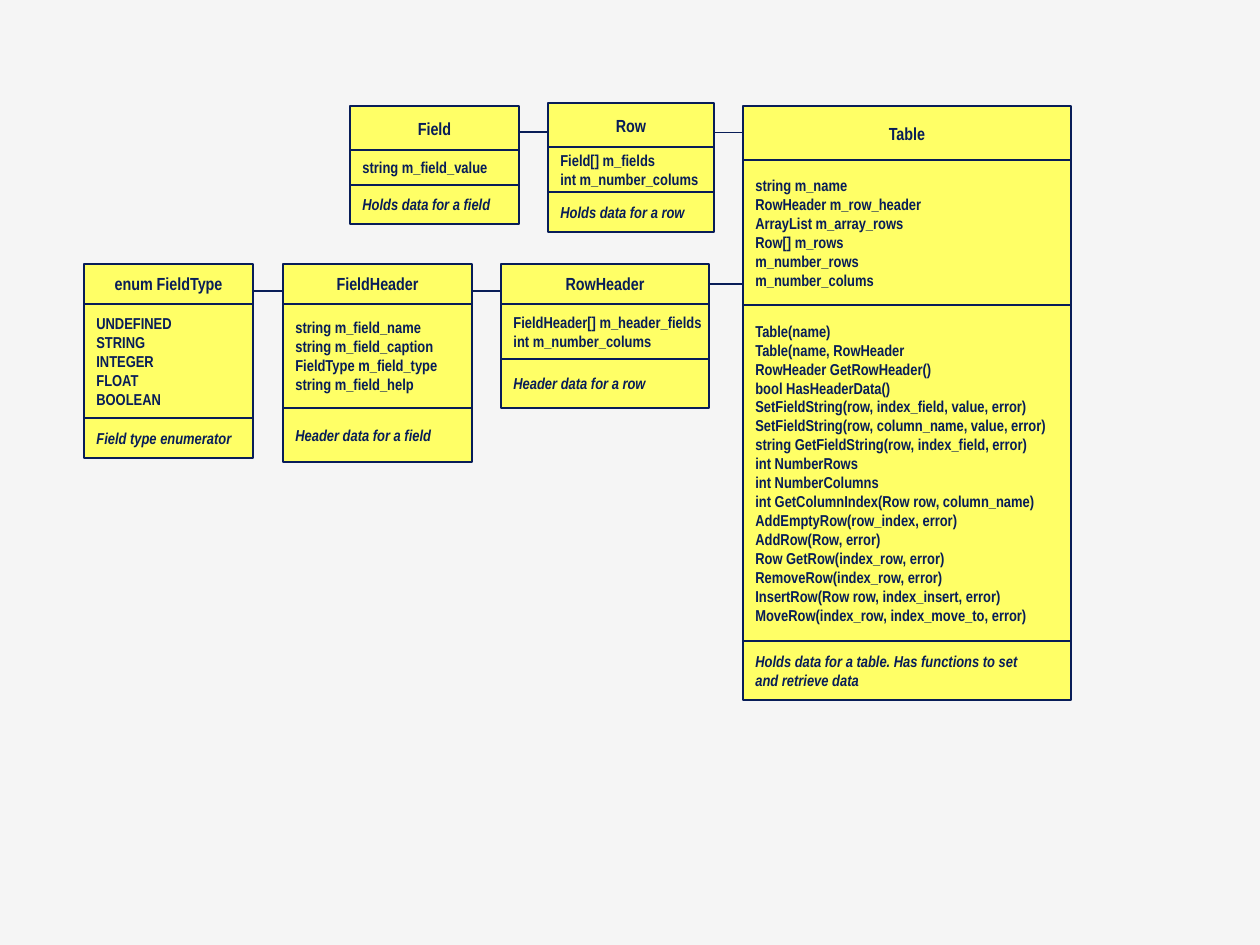
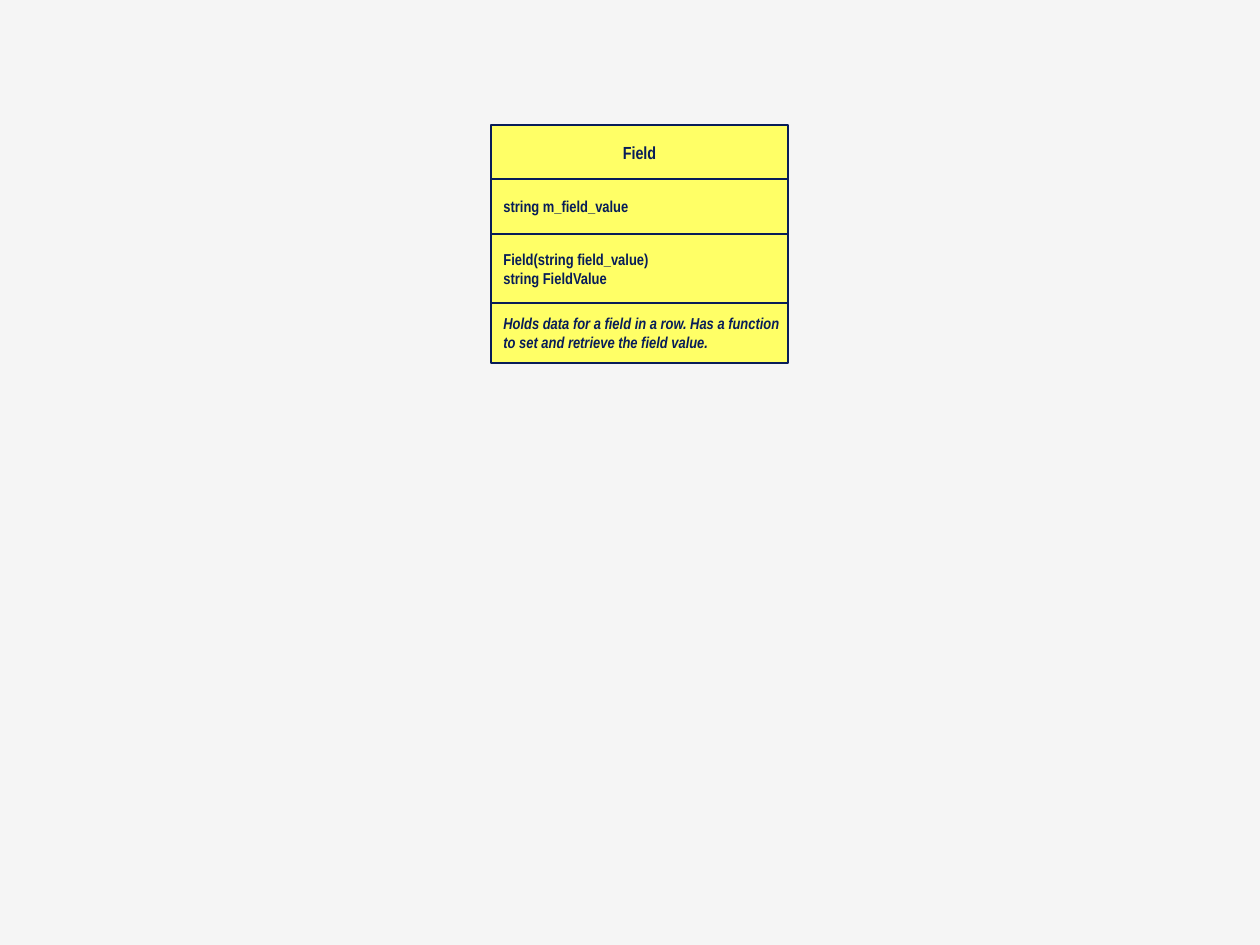
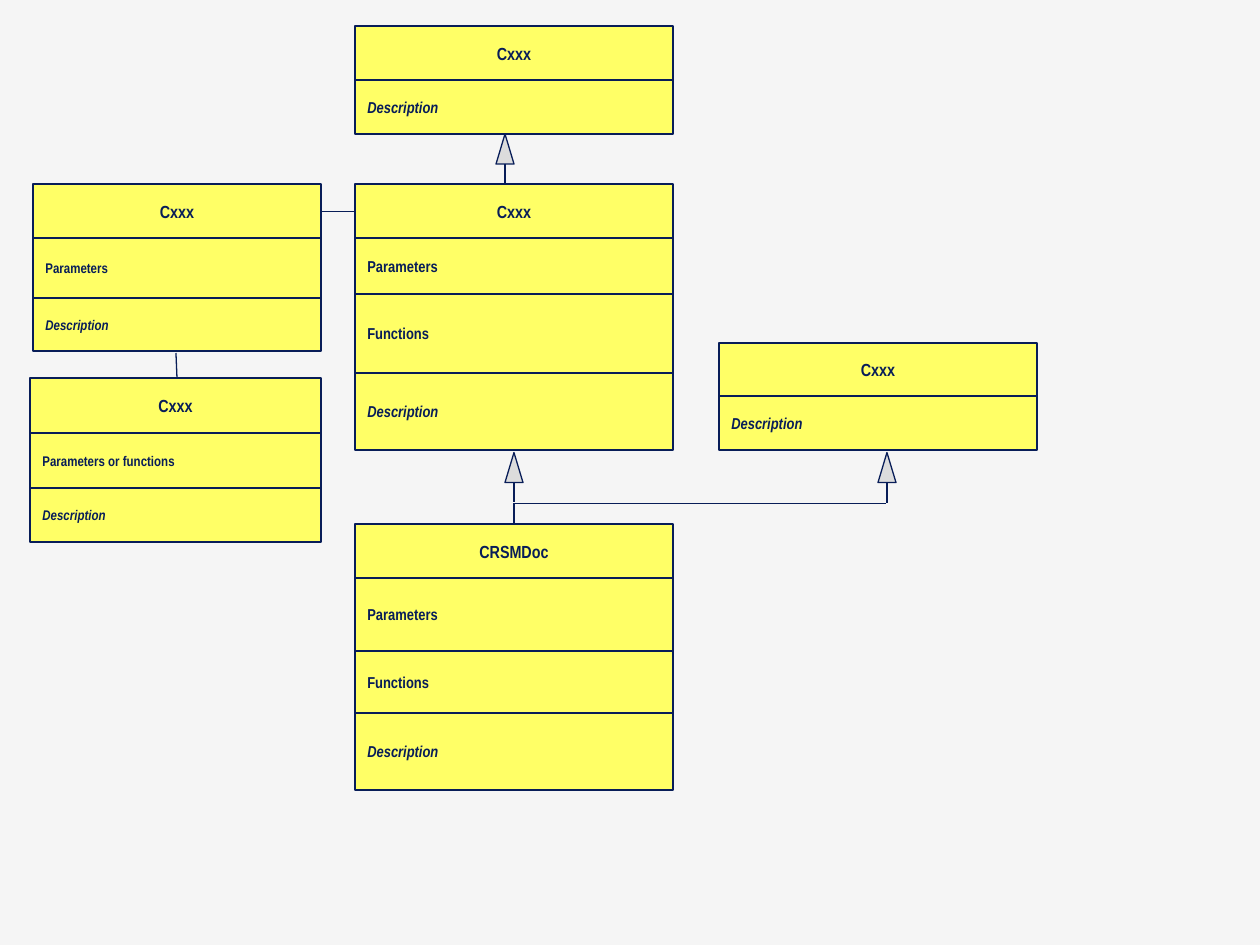
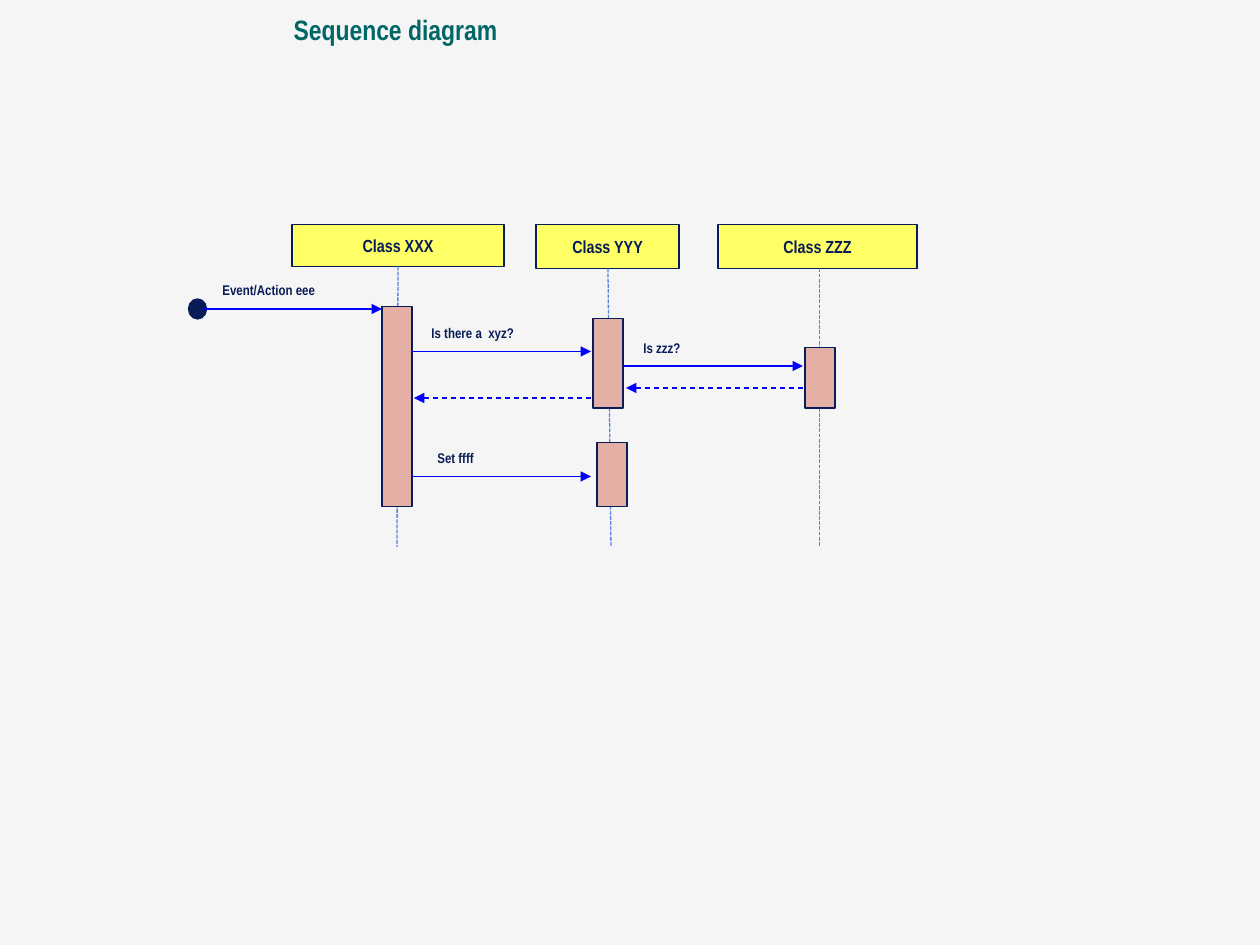
from lxml import etree
from pptx import Presentation
from pptx.dml.color import RGBColor
from pptx.enum.dml import MSO_LINE
from pptx.enum.shapes import MSO_CONNECTOR, MSO_SHAPE
from pptx.enum.text import MSO_ANCHOR, MSO_AUTO_SIZE, PP_ALIGN
from pptx.oxml.ns import qn
from pptx.util import Inches, Pt

RECT, OVAL = MSO_SHAPE.RECTANGLE, MSO_SHAPE.OVAL
PEAK = MSO_SHAPE.ISOSCELES_TRIANGLE
STRAIGHT = MSO_CONNECTOR.STRAIGHT
DASH, DOTS = MSO_LINE.DASH, MSO_LINE.SQUARE_DOT
LEFT, CENTER = PP_ALIGN.LEFT, PP_ALIGN.CENTER
TOP, MIDDLE = MSO_ANCHOR.TOP, MSO_ANCHOR.MIDDLE
FIXED = MSO_AUTO_SIZE.NONE

PAPER = RGBColor(0xF5, 0xF5, 0xF5)
YELLOW = RGBColor(0xFF, 0xFF, 0x66)
NAVY = RGBColor(0x08, 0x1D, 0x58)
GREY = RGBColor(0xDC, 0xDC, 0xDC)
TEAL = RGBColor(0x00, 0x66, 0x66)
ROSE = RGBColor(0xE4, 0xB0, 0xA6)
BLUE = RGBColor(0x00, 0x00, 0xFF)
SKY = RGBColor(0x57, 0x81, 0xE5)

FONT = "Arial Narrow"
SCALE = Inches(1) / 126
BAR = 30


def px(*sizes):
    return [round(size * SCALE) for size in sizes]


def write(frame, text, size, color=NAVY, align=LEFT, slant=False):
    frame.text = text
    for line in frame.paragraphs:
        line.alignment = align
        font = line.font
        font.name, font.size, font.bold = FONT, Pt(size), True
        font.color.rgb = color
        if slant:
            font.italic = True


def block(slide, kind, box, fill):
    shape = slide.shapes.add_shape(kind, *px(*box))
    shape.shadow.inherit = False
    shape.fill.solid()
    shape.fill.fore_color.rgb = fill
    shape.line.color.rgb = NAVY
    shape.line.width = Pt(0.75)
    return shape


def cell(slide, box, text, size, align=LEFT, slant=False):
    frame = block(slide, RECT, box, YELLOW).text_frame
    frame.word_wrap = False
    frame.vertical_anchor = MIDDLE
    write(frame, text, size, align=align, slant=slant)


def link(slide, ends, color=NAVY, dash=None, arrow=None):
    line = slide.shapes.add_connector(STRAIGHT, *px(*ends))
    line.line.color.rgb = color
    line.line.width = Pt(0.75)
    if dash:
        line.line.dash_style = dash
    props = line._element.spPr
    etree.SubElement(props, qn("a:effectLst"))
    if arrow:
        tip = etree.SubElement(props.find(qn("a:ln")), qn("a:" + arrow))
        tip.set("type", "triangle")


def card(slide, left, top, width, name, high, parts, size=9):
    cell(slide, (left, top, width, high), name, 10, CENTER)
    top += high
    for part, (high, text) in enumerate(parts, 1):
        cell(slide, (left, top, width, high), text, size,
             slant=part == len(parts))
        top += high


def rise(slide, x, top, end):
    block(slide, PEAK, (x - 9, top, 18, 30), GREY)
    link(slide, (x, top + 30, x, end))


def label(slide, left, top, width, text):
    frame = slide.shapes.add_textbox(*px(left, top, width, 30)).text_frame
    frame.word_wrap = True
    write(frame, text, 8)


def title(slide, box, text):
    head = slide.shapes.title
    head.left, head.top, head.width, head.height = px(*box)
    frame = head.text_frame
    frame.auto_size = FIXED
    frame.vertical_anchor = TOP
    write(frame, text, 16, TEAL)


def tables(slide):
    for x, end, y in ((514, 548, 132), (709, 743, 132.5), (248, 284, 291),
                      (467, 501, 291), (709, 743, 284)):
        link(slide, (x, y, end, y))
    card(slide, 743, 106, 328, "Table", 54, (
        (145, "string m_name\nRowHeader m_row_header\n"
              "ArrayList m_array_rows\nRow[] m_rows\n"
              "m_number_rows\nm_number_colums"),
        (336, "Table(name)\nTable(name, RowHeader\n"
              "RowHeader GetRowHeader()\nbool HasHeaderData()\n"
              "SetFieldString(row, index_field, value, error)\n"
              "SetFieldString(row, column_name, value, error)\n"
              "string GetFieldString(row, index_field, error)\n"
              "int NumberRows\nint NumberColumns\n"
              "int GetColumnIndex(Row row, column_name)\n"
              "AddEmptyRow(row_index, error)\nAddRow(Row, error)\n"
              "Row GetRow(index_row, error)\n"
              "RemoveRow(index_row, error)\n"
              "InsertRow(Row row, index_insert, error)\n"
              "MoveRow(index_row, index_move_to, error)"),
        (59, "Holds data for a table. Has functions to set\n"
             "and retrieve data")))
    card(slide, 548, 103, 166, "Row", 44, (
        (45, "Field[] m_fields\nint m_number_colums"),
        (40, "Holds data for a row")))
    card(slide, 350, 106, 169, "Field", 44, (
        (35, "string m_field_value"),
        (39, "Holds data for a field")))
    card(slide, 501, 264, 208, "RowHeader", 40, (
        (55, "FieldHeader[] m_header_fields\nint m_number_colums"),
        (49, "Header data for a row")))
    card(slide, 283, 264, 189, "FieldHeader", 40, (
        (104, "string m_field_name\nstring m_field_caption\n"
              "FieldType m_field_type\nstring m_field_help"),
        (54, "Header data for a field")))
    card(slide, 84, 264, 169, "enum FieldType", 40, (
        (114, "UNDEFINED\nSTRING\nINTEGER\nFLOAT\nBOOLEAN"),
        (40, "Field type enumerator")))


def field(slide):
    card(slide, 491, 125, 297, "Field", 54, (
        (55, "string m_field_value"),
        (69, "Field(string field_value)\nstring FieldValue"),
        (60, "Holds data for a field in a row. Has a function\n"
             "to set and retrieve the field value.")))


def classes(slide):
    for ends in ((514, 503.5, 886, 503.5), (514, 503.5, 514, 524),
                 (176, 353, 177, 378), (321, 211.5, 355, 211.5)):
        link(slide, ends)
    wide = 318
    card(slide, 355, 26, wide, "Cxxx", 54, ((54, "Description"),))
    card(slide, 355, 184, wide, "Cxxx", 54, (
        (56, "Parameters"), (79, "Functions"), (77, "Description")))
    card(slide, 719, 343, wide, "Cxxx", 53, ((54, "Description"),))
    card(slide, 355, 524, wide, "CRSMDoc", 54, (
        (73, "Parameters"), (62, "Functions"), (77, "Description")))
    card(slide, 33, 184, 288, "Cxxx", 54, (
        (60, "Parameters"), (53, "Description")), 8)
    card(slide, 30, 378, 291, "Cxxx", 55, (
        (55, "Parameters or functions"), (54, "Description")), 8)
    rise(slide, 505, 134, 183)
    rise(slide, 514, 452.5, 502)
    rise(slide, 887, 452.5, 503)


def sequence(slide):
    title(slide, (281, 6, 601, 47), "Sequence diagram")
    for name, left, width, high, x, end in (
            ("Class XXX", 292, 212, 42, 398, 397),
            ("Class YYY", 536, 143, 44, 608, 611),
            ("Class ZZZ", 718, 199, 44, 819.5, 819.5)):
        cell(slide, (left, 224.5, width, high), name, 10, CENTER)
        link(slide, (x, 224.5 + high, end, 547), SKY, DOTS)
    for left, top, high in ((382, 306.5, 200), (593, 318.5, 89.5),
                            (805, 347.5, 60.5), (597, 442.5, 64)):
        block(slide, RECT, (left, top, BAR, high), ROSE)
    block(slide, OVAL, (188.5, 299, 18, 20), NAVY)
    for x, end, y in ((203, 382, 309), (412, 591, 351.5),
                      (624, 803, 366), (412, 591, 476.5)):
        link(slide, (x, y, end, y), BLUE, arrow="tailEnd")
    for x, end, y in ((414, 593, 398), (626, 805, 388)):
        link(slide, (x, y, end, y), BLUE, DASH, "headEnd")
    label(slide, 210, 275, 135, "Event/Action eee")
    label(slide, 419, 318, 171, "Is there a  xyz?")
    label(slide, 631, 333, 171, "Is zzz?")
    label(slide, 425, 443, 171, "Set ffff")


deck = Presentation()
deck.slide_width, deck.slide_height = px(1260, 945)
paper = deck.slide_master.background.fill
paper.solid()
paper.fore_color.rgb = PAPER
titled, blank = deck.slide_layouts[5], deck.slide_layouts[6]
for draw, layout in ((tables, blank), (field, blank),
                     (classes, blank), (sequence, titled)):
    draw(deck.slides.add_slide(layout))
deck.save("out.pptx")
